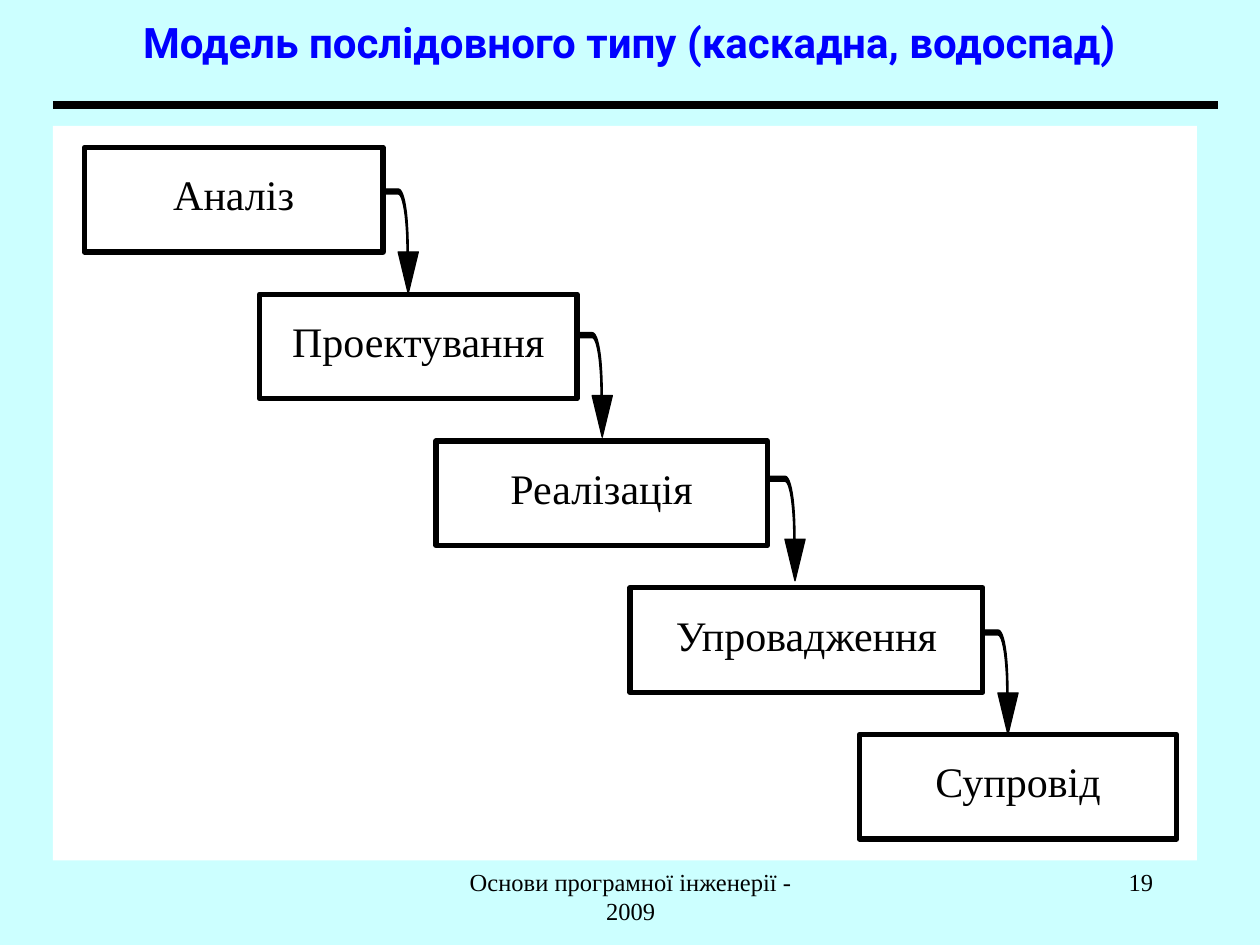
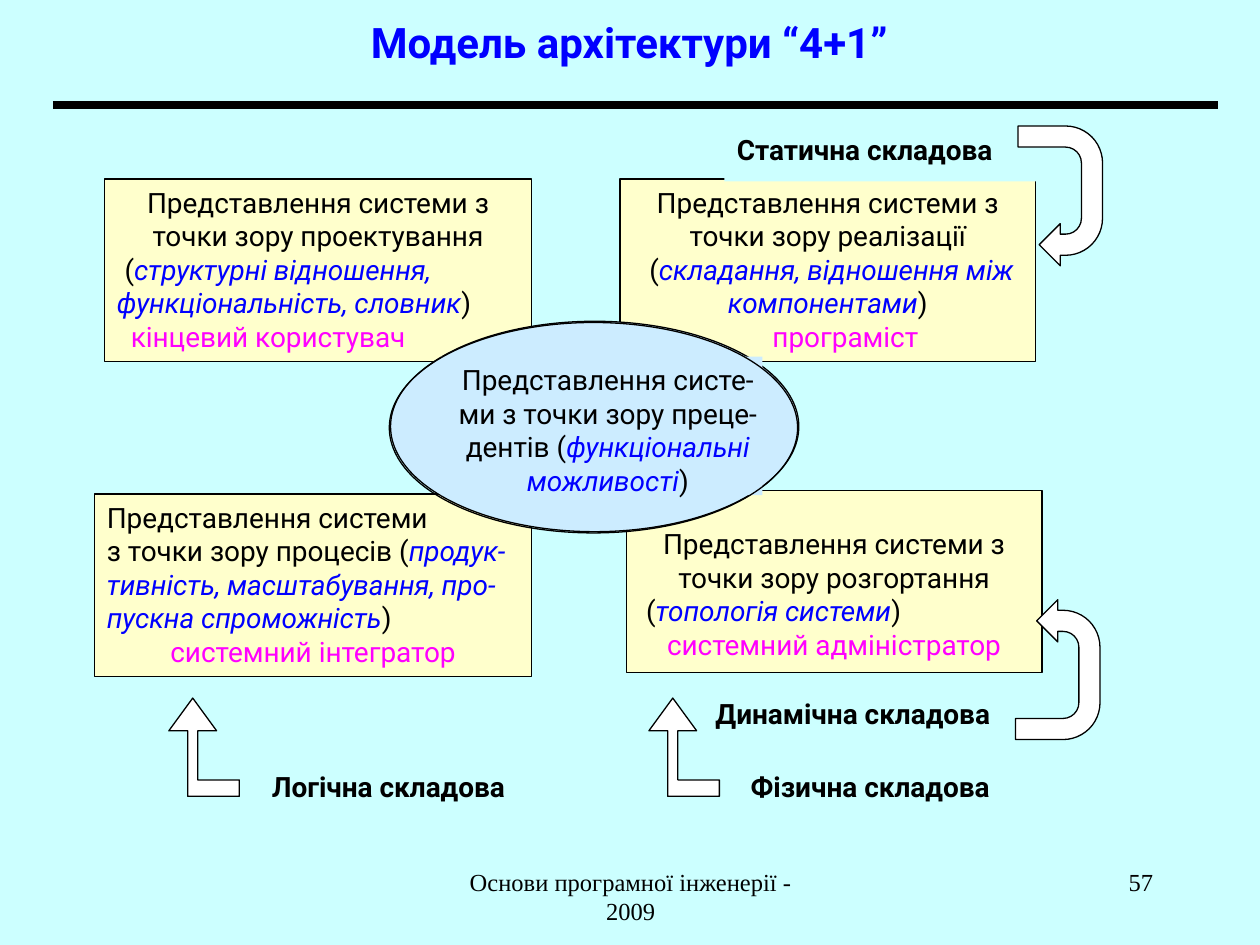
from lxml import etree
from pptx import Presentation
from pptx.dml.color import RGBColor
from pptx.enum.shapes import MSO_CONNECTOR, MSO_SHAPE
from pptx.enum.text import MSO_ANCHOR, PP_ALIGN
from pptx.oxml.ns import qn
from pptx.util import Inches, Pt

RECTANGLE, ELLIPSE, UTURN = MSO_SHAPE.RECTANGLE, MSO_SHAPE.OVAL, MSO_SHAPE.U_TURN_ARROW
STRAIGHT = MSO_CONNECTOR.STRAIGHT
LEFT, CENTER, RIGHT = PP_ALIGN.LEFT, PP_ALIGN.CENTER, PP_ALIGN.RIGHT
TOP, MIDDLE = MSO_ANCHOR.TOP, MSO_ANCHOR.MIDDLE

COLORS = {
    "background": "CCFFFF", "white": "FFFFFF", "black": "000000", "blue": "0000FF",
    "magenta": "FF00FF", "view": "FFFFCC", "scenario": "CCECFF",
}
SANS, SERIF = "Roboto", "Times New Roman"
INSETS = (0.1, 0.05, 0.1, 0.05)


def color(name):
    return RGBColor.from_string(COLORS[name])


def bezier(start, first, second, end, steps=12):
    """Points after start on a cubic curve."""
    points = []
    for step in range(1, steps + 1):
        t = step / steps
        weights = ((1 - t) ** 3, 3 * t * (1 - t) ** 2, 3 * t * t * (1 - t), t ** 3)
        points.append(tuple(
            sum(weight * point[axis] for weight, point in zip(weights, (start, first, second, end)))
            for axis in (0, 1)))
    return points


class SlideBuilder:
    def __init__(self):
        self.deck = Presentation()
        self.deck.slide_width, self.deck.slide_height = Inches(10), Inches(7.5)
        self.page = None

    def start_page(self, title, number):
        """Add a page with the shared background, title, rule and footer."""
        self.page = self.deck.slides.add_slide(self.deck.slide_layouts[6])
        self.page.background.fill.solid()
        self.page.background.fill.fore_color.rgb = color("background")
        self.add_text((0.33, 0, 9.33, 0.67), title, SANS, 24, CENTER, "blue",
                      bold=True, anchor=MIDDLE)
        self.add_rule((0.42, 0.83), (9.67, 0.83), 4.5)
        self.add_text((3.42, 6.83, 3.17, 0.5), "Основи програмної інженерії - 2009",
                      SERIF, 14, CENTER, insets=(0.15, 0.05, 0.15, 0.05))
        self.add_text((7.17, 6.83, 2.08, 0.5), str(number), SERIF, 14, RIGHT)

    def prepare_frame(self, box, insets=INSETS, anchor=TOP):
        frame = box.text_frame
        frame.word_wrap = True
        frame.vertical_anchor = anchor
        (frame.margin_left, frame.margin_top,
         frame.margin_right, frame.margin_bottom) = map(Inches, insets)
        return frame

    def style_font(self, font, name, size, shade="black", bold=False, italic=False):
        font.name, font.size, font.bold, font.italic = name, Pt(size), bold, italic
        font.color.rgb = color(shade)

    def fill_text(self, box, text, name, size, align, shade="black", bold=False,
                  insets=INSETS, anchor=TOP, spacing=None):
        """Put one evenly styled paragraph into a box."""
        para = self.prepare_frame(box, insets, anchor).paragraphs[0]
        para.text, para.alignment = text, align
        if spacing:
            para.line_spacing = spacing
        self.style_font(para.runs[0].font, name, size, shade, bold)

    def fill_view(self, box, paragraphs, insets=INSETS):
        """Add (alignment, first-line indent, *spans); a span is plain, or (text, colour)."""
        frame = self.prepare_frame(box, insets)
        for index, (align, indent, *spans) in enumerate(paragraphs):
            para = frame.add_paragraph() if index else frame.paragraphs[0]
            para.alignment = align
            para._p.get_or_add_pPr().set("indent", str(Inches(indent)))
            for content in spans:
                text, shade = (content, "black") if isinstance(content, str) else content
                span = para.add_run()
                span.text = text
                self.style_font(span.font, SANS, 16, shade, italic=shade == "blue")

    def add_text(self, at, text, *style, **options):
        self.fill_text(self.page.shapes.add_textbox(*map(Inches, at)), text, *style, **options)

    def paint(self, shape, fill, line):
        shape.shadow.inherit = False
        if fill:
            shape.fill.solid()
            shape.fill.fore_color.rgb = color(fill)
        else:
            shape.fill.background()
        if line:
            shape.line.color.rgb = color("black")
            shape.line.width = Pt(line)
        else:
            shape.line.fill.background()
        return shape

    def add_shape(self, kind, at, fill=None, line=0.75):
        return self.paint(self.page.shapes.add_shape(kind, *map(Inches, at)), fill, line)

    def add_outline(self, origin, points, fill):
        """Closed polygon; the points are offsets from the origin."""
        placed = [(Inches(origin[0] + x), Inches(origin[1] + y)) for x, y in points]
        builder = self.page.shapes.build_freeform(*placed[0])
        builder.add_line_segments(placed[1:], close=True)
        return self.paint(builder.convert_to_shape(), fill, 0.75)

    def add_rule(self, start, end, width):
        rule = self.page.shapes.add_connector(STRAIGHT, *map(Inches, start + end))
        rule.line.color.rgb = color("black")
        rule.line.width = Pt(width)
        etree.SubElement(rule._element.spPr, qn("a:effectLst"))

    def add_uturn(self, at, rotation, flipped=False):
        arrow = self.add_shape(UTURN, at, "white")
        arrow.rotation = rotation
        if flipped:
            arrow._element.spPr.get_or_add_xfrm().set("flipV", "1")


def add_waterfall(slides):
    slides.start_page("Модель послідовного типу (каскадна, водоспад)", 19)
    slides.add_shape(RECTANGLE, (0.42, 1, 9.08, 5.83), "white", None)

    # Stages step down evenly
    stages = [("Аналіз", 0.67, 2.37), ("Проектування", 2.06, 2.52), ("Реалізація", 3.46, 2.63),
              ("Упровадження", 5, 2.8), ("Супровід", 6.82, 2.52)]
    first_top, last_top = 1.17, 5.83
    step = (last_top - first_top) / (len(stages) - 1)
    for index, (name, left, width) in enumerate(stages):
        box = slides.add_shape(RECTANGLE, (left, first_top + step * index, width, 0.83), "white", 3)
        slides.fill_text(box, name, SERIF, 24, CENTER, insets=(0, 0.05, 0, 0.05), spacing=1.3)

    # Bent arrows between the stages
    bent_arrow = [
        (0, 0), (0.12, 0), *bezier((0.12, 0), (0.17, 0), (0.2, 0.21), (0.2, 0.48)),
        (0.2, 0.5), (0.28, 0.5), (0.2, 0.83), (0.12, 0.5), (0.19, 0.5), (0.19, 0.48),
        *bezier((0.19, 0.48), (0.19, 0.24), (0.16, 0.04), (0.12, 0.04)), (0, 0.04)]
    for origin in ((3.04, 1.5), (4.58, 2.64), (6.11, 3.78), (7.8, 5)):
        slides.add_outline(origin, bent_arrow, "black")


def add_architecture(slides):
    slides.start_page("Модель архітектури “4+1”", 57)

    # Four views
    views = [
        ((0.83, 1.42, 3.39, 1.45), 0.05, [
            (CENTER, 0, "Представлення системи з точки зору проектування"),
            (LEFT, 0.06, "(", ("структурні відношення, функціональність, словник", "blue"), ")"),
            (LEFT, 0.11, ("кінцевий користувач", "magenta"))]),
        ((0.75, 3.92, 3.47, 1.45), 0.05, [
            (LEFT, 0, "Представлення системи"),
            (LEFT, 0, "з точки зору процесів (",
             ("продук-тивність, масштабування, про-пускна спроможність", "blue"), ")"),
            (CENTER, 0, ("системний інтегратор", "magenta"))]),
        ((4.97, 3.89, 3.3, 1.45), 0.29, [
            (CENTER, 0, "Представлення системи з точки зору розгортання"),
            (LEFT, 0.06, "(", ("топологія системи", "blue"), ")"),
            (CENTER, 0, ("системний адміністратор", "magenta"))]),
        ((4.92, 1.42, 3.3, 1.45), 0.05, [
            (CENTER, 0, "Представлення системи з точки зору реалізації"),
            (CENTER, 0.06, "(", ("складання, відношення між компонентами", "blue"), ")"),
            (CENTER, 0.28, ("програміст", "magenta"))]),
    ]
    for at, top_inset, paragraphs in views:
        box = slides.add_shape(RECTANGLE, at, "view")
        slides.fill_view(box, paragraphs, (0.1, top_inset, 0.1, 0.05))

    # Component labels
    labels = [("Логічна складова", 2.06, 6.06, 2.36), ("Фізична складова", 5.86, 6.06, 2.39),
              ("Динамічна складова", 5.58, 5.48, 2.67), ("Статична складова", 5.75, 1, 2.67)]
    for name, left, top, width in labels:
        box = slides.add_shape(RECTANGLE, (left, top, width, 0.44), "background", None)
        slides.fill_text(box, name, SANS, 16, LEFT, bold=True)

    # Arrows from labels to views
    slides.add_uturn((7.86, 1.22, 1.11, 0.67), 90)
    slides.add_uturn((7.84, 4.98, 1.11, 0.67), 270, flipped=True)
    corner_arrow = [(0.56, 0.65), (0.23, 0.65), (0.23, 0.26), (0.38, 0.26), (0.19, 0),
                    (0, 0.26), (0.15, 0.26), (0.15, 0.78), (0.56, 0.78)]
    for left in (1.34, 5.15):
        slides.add_outline((left, 5.54), corner_arrow, "white")

    # Central scenario view
    slides.add_shape(ELLIPSE, (3.1, 2.55, 3.24, 1.67), "scenario")
    box = slides.add_shape(RECTANGLE, (3.5, 2.83, 2.55, 1.1), "scenario", None)
    slides.fill_view(box, [
        (CENTER, 0, "Представлення систе-ми з точки зору преце-дентів (",
         ("функціональні можливості", "blue"), ")")], (0.1, 0.05, 0, 0.05))
    slides.add_shape(ELLIPSE, (3.09, 2.56, 3.24, 1.67))


def main():
    slides = SlideBuilder()
    add_waterfall(slides)
    add_architecture(slides)
    slides.deck.save("out.pptx")


if __name__ == "__main__":
    main()
